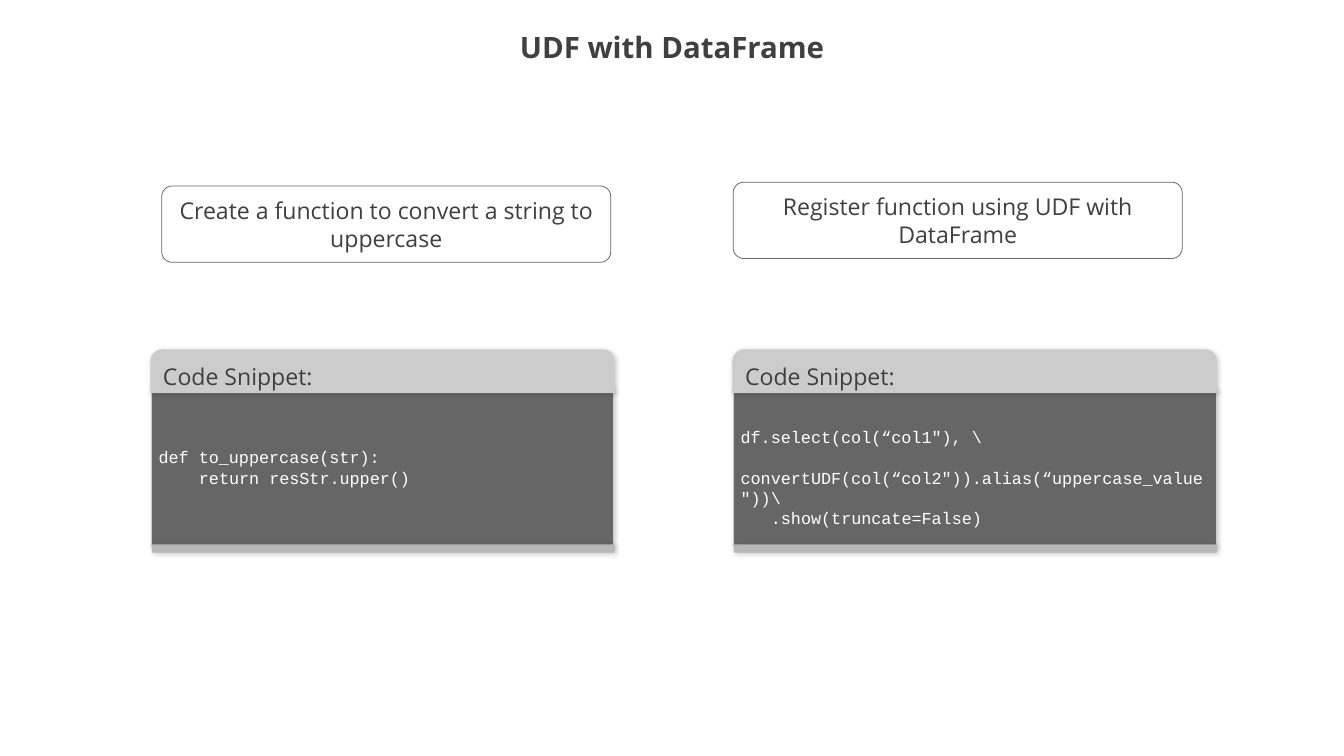
from lxml.etree import SubElement
from pptx import Presentation
from pptx.dml.color import RGBColor
from pptx.enum.shapes import MSO_SHAPE as Shape
from pptx.enum.text import MSO_ANCHOR as Anchor, MSO_AUTO_SIZE as AutoSize, PP_ALIGN as Align
from pptx.oxml.ns import qn
from pptx.util import Emu, Pt

PX = 9144
COLORS = {
    "title": "404040",
    "text": "3F3F3F",
    "paper": "FFFFFF",
    "code": "666666",
    "header": "CCCCCC",
    "footer": "B7B7B7",
    "shadow": "000000",
}
SANS, MONO = "Open Sans", "Courier New"
CODE_SIZE = 16
CHAR_WIDTH = 0.6 * CODE_SIZE


def px(value):
    return Emu(value * PX)


def color(name):
    return RGBColor.from_string(COLORS[name])


def add_block(parent, kind, box, fill, line=None):
    block = parent.shapes.add_shape(kind, *map(px, box))
    block.shadow.inherit = False
    block.fill.solid()
    block.fill.fore_color.rgb = color(fill)
    if line:
        block.line.color.rgb = color(line)
        block.line.width = Pt(0.75)
    else:
        block.line.fill.background()
    return block


def add_shadow(block):
    effects = block.element.spPr.find(qn("a:effectLst"))
    shadow = SubElement(effects, qn("a:outerShdw"), blurRad=str(Pt(4.5)), dist=str(Pt(1.5)),
                        dir=str(47 * 60000), algn="tl", rotWithShape="0")
    tint = SubElement(shadow, qn("a:srgbClr"), val=COLORS["shadow"])
    SubElement(tint, qn("a:alpha"), val="20000")


def prepare_frame(block, insets):
    frame = block.text_frame
    frame.word_wrap = True
    frame.auto_size = AutoSize.NONE
    frame.vertical_anchor = Anchor.MIDDLE
    frame.margin_left, frame.margin_top, frame.margin_right, frame.margin_bottom = map(px, insets)
    return frame


def add_text(para, text, size, font, ink, align=Align.LEFT, bold=False):
    para.alignment = align
    span = para.add_run()
    span.text = text
    span.font.size = Pt(size)
    span.font.name = font
    span.font.bold = bold
    span.font.color.rgb = color(ink)


def add_title(page, box, text):
    title = page.shapes.title
    title.left, title.top, title.width, title.height = map(px, box)
    para = prepare_frame(title, (10, 5, 10, 5)).paragraphs[0]
    para.line_spacing = 0.9
    add_text(para, text, 28, SANS, "title", Align.CENTER, True)


def add_step(page, box, text):
    step = add_block(page, Shape.ROUNDED_RECTANGLE, box, "paper", "code")
    step.adjustments[0] = 0.137
    frame = prepare_frame(step, (10, 5, 10, 5))
    add_text(frame.paragraphs[0], text, 22, SANS, "text", Align.CENTER)


def add_snippet(page, box, lines, code_top):
    left, top, width, height = box
    panel = page.shapes.add_group_shape()

    body = add_block(panel, Shape.RECTANGLE, (left + 1, top + 52, width - 2, 208), "code", "header")
    header = add_block(panel, Shape.ROUND_2_SAME_RECTANGLE, (left, top, width, 58), "header")
    header.adjustments[0] = 0.275
    footer = add_block(panel, Shape.RECTANGLE, (left + 2, top + height - 11, width - 2, 11), "footer")
    for block in (body, header, footer):
        add_shadow(block)

    frame = prepare_frame(header, (12, 8, 10, 0))
    add_text(frame.paragraphs[0], "Code Snippet:", 22, SANS, "text")

    frame = prepare_frame(body, (10, code_top, 10, 10))
    for index, (indent, gap, text) in enumerate(lines):
        para = frame.add_paragraph() if index else frame.paragraphs[0]
        para.space_before = Pt(gap)
        para._p.get_or_add_pPr().set("marL", str(Pt(indent * CHAR_WIDTH)))
        add_text(para, text, CODE_SIZE, MONO, "paper")


def main():
    deck = Presentation()
    deck.slide_width, deck.slide_height = px(1778), px(1000)
    page = deck.slides.add_slide(deck.slide_layouts[5])

    add_title(page, (-1, 27, 1780, 75), "UDF with DataFrame")
    add_step(page, (214, 246, 594, 101), "Create a function to convert a string to uppercase")
    add_step(page, (970, 241, 594, 101), "Register function using UDF with DataFrame")
    add_snippet(page, (199, 462, 614, 269), [
        (0, 0, "def to_uppercase(str):"),
        (4, 0, "return resStr.upper()"),
    ], 10)
    add_snippet(page, (969, 462, 641, 269), [
        (0, 0, "df.select(col(“col1\"), \\"),
        (0, 19, "convertUDF(col(“col2\")).alias(“uppercase_value\"))\\"),
        (3, 0, ".show(truncate=False)"),
    ], 37)
    deck.save("out.pptx")


if __name__ == "__main__":
    main()
